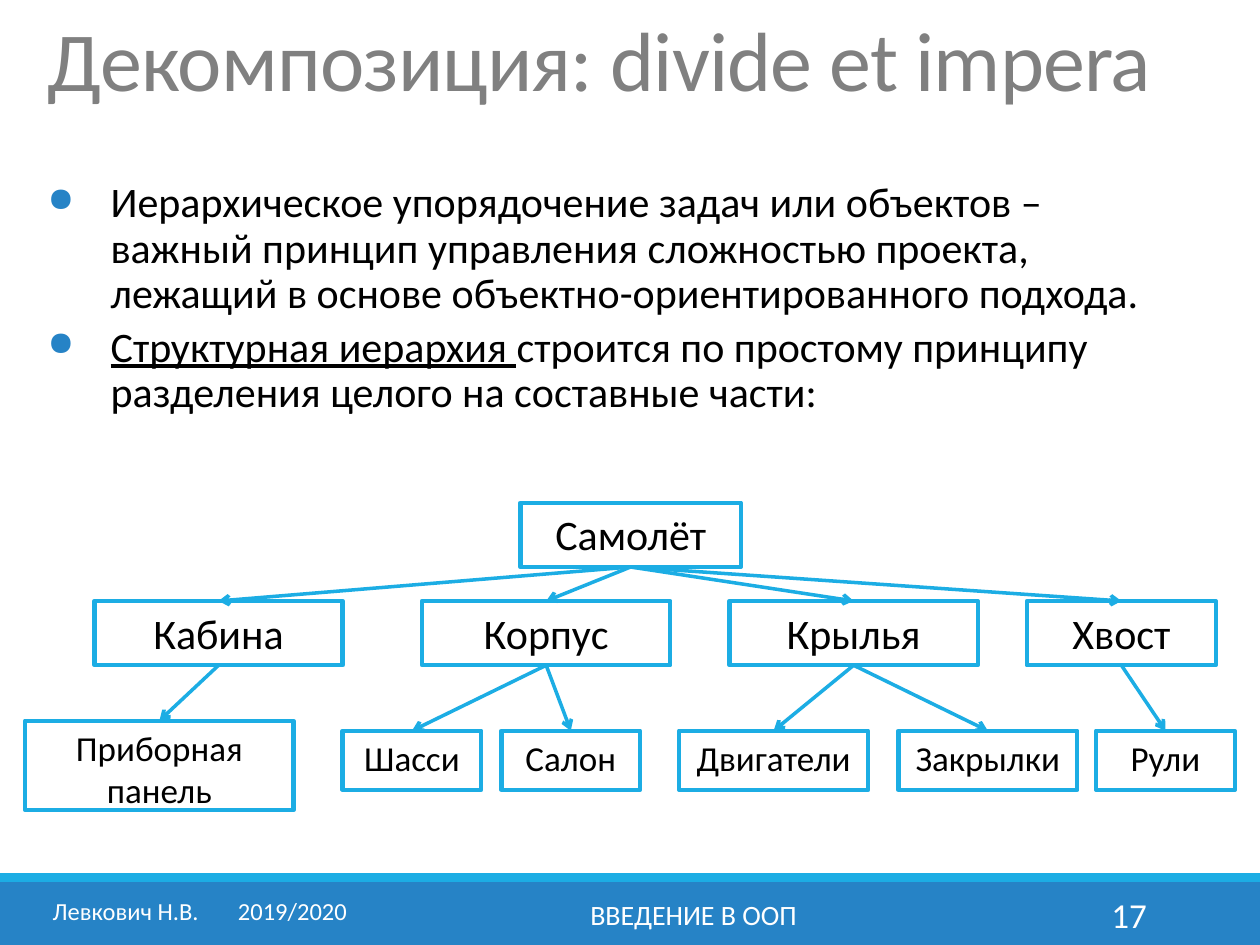
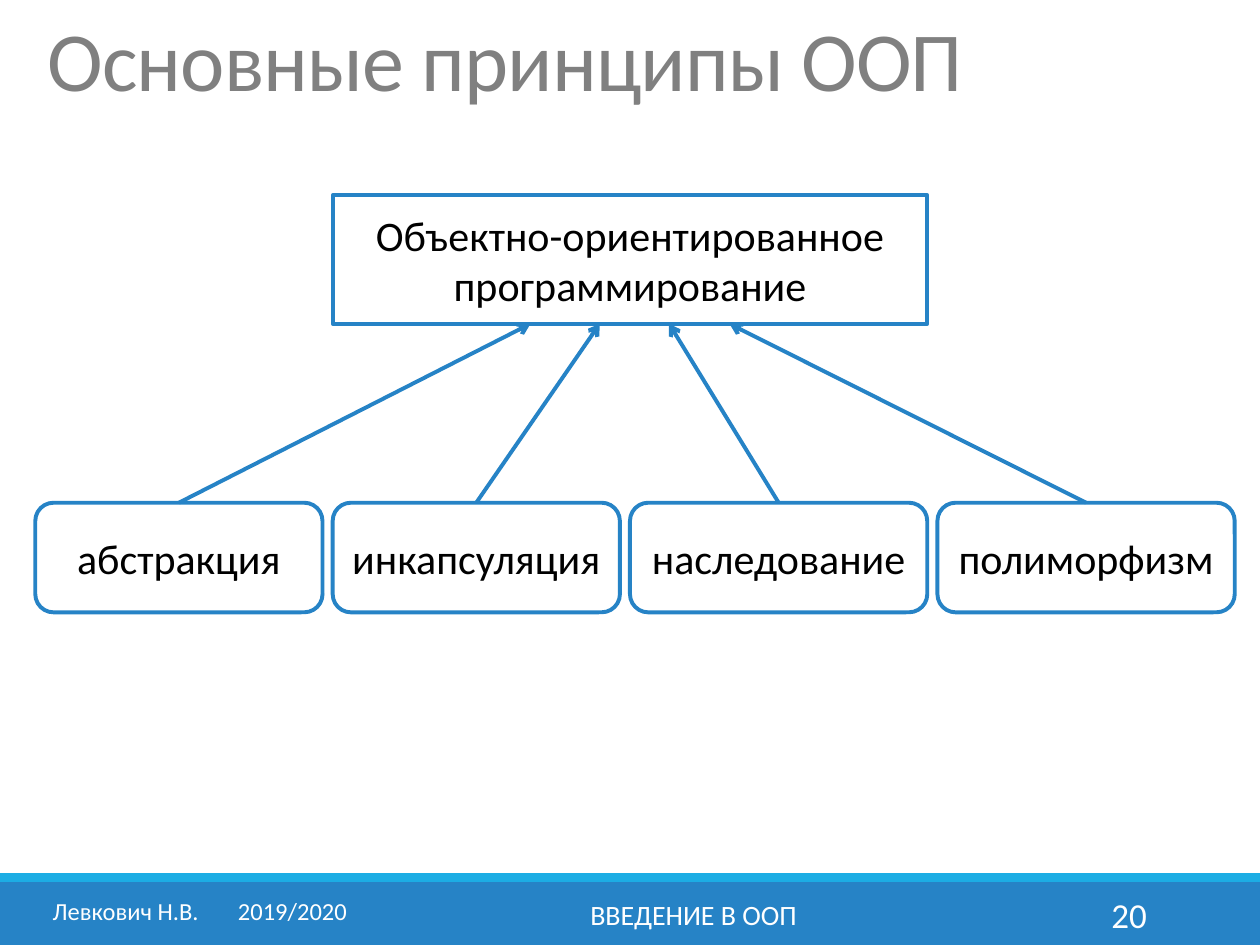
from lxml import etree
from pptx import Presentation
from pptx.dml.color import RGBColor
from pptx.enum.shapes import MSO_CONNECTOR, MSO_SHAPE
from pptx.enum.text import MSO_ANCHOR, PP_ALIGN
from pptx.oxml.ns import qn
from pptx.util import Inches, Pt

RECT, ROUND = MSO_SHAPE.RECTANGLE, MSO_SHAPE.ROUNDED_RECTANGLE
LINE = MSO_CONNECTOR.STRAIGHT
TOP, MID = MSO_ANCHOR.TOP, MSO_ANCHOR.MIDDLE
LEFT, CENTER, RIGHT = PP_ALIGN.LEFT, PP_ALIGN.CENTER, PP_ALIGN.RIGHT

COLS, ROWS = 100, 75
UNIT = Inches(0.1)
FONT = "Calibri"
HEX = {"blue": "2683C6", "sky": "1CADE4", "gray": "808080",
       "black": "000000", "white": "FFFFFF"}
TOP_SITE, LOW_SITE = 0, 2

# Each part: name, left, width, then its own parts as name, left, top, width, height
PLANE = [
    ("Кабина", 7.5, 19.7, [("Приборная панель", 2, 57.2, 21.3, 7.1)]),
    ("Корпус", 33.5, 19.7, [("Шасси", 27.2, 58, 11, 4.7),
                            ("Салон", 39.8, 58, 11, 4.7)]),
    ("Крылья", 57.9, 19.7, [("Двигатели", 53.9, 58, 15, 4.7),
                            ("Закрылки", 71.3, 58, 14.2, 4.7)]),
    ("Хвост", 81.5, 15, [("Рули", 87, 58, 11, 4.7)]),
]
# Each pillar: name, width, column where its arrow meets the root
PILLARS = [("абстракция", 22.8, 42.1), ("инкапсуляция", 22.8, 47.6),
           ("наследование", 23.6, 53.1), ("полиморфизм", 23.6, 57.9)]


def grid(*cells):
    """Turn grid columns and rows into lengths."""
    return [round(cell * UNIT) for cell in cells]


def color(name):
    return RGBColor.from_string(HEX[name])


def add(parent, tag, **attrs):
    return etree.SubElement(parent, qn(tag), attrs)


def write(para, text, size=24, ink="black", under=None, track=None):
    """Add one formatted run; track is letter spacing in points."""
    run = para.add_run()
    run.text = text
    font = run.font
    font.name, font.size, font.underline = FONT, Pt(size), under
    font.color.rgb = color(ink)
    if track:
        run._r.get_or_add_rPr().set("spc", str(round(track * 100)))


def fit(frame, anchor, align):
    frame.word_wrap = True
    frame.vertical_anchor = anchor
    para = frame.paragraphs[0]
    para.alignment = align
    return para


def label(slide, cells, text, anchor=TOP, align=LEFT, leading=None,
          tab=None, **style):
    box = slide.shapes.add_textbox(*grid(*cells))
    para = fit(box.text_frame, anchor, align)
    if leading:
        para.line_spacing = leading
    if tab:
        tabs = add(para._p.get_or_add_pPr(), "a:tabLst")
        add(tabs, "a:tab", pos=str(grid(tab)[0]), algn="l")
    write(para, text, **style)


def block(slide, cells, kind=RECT, fill=None, edge=None, weight=2.5,
          text=None, anchor=TOP, size=24):
    shape = slide.shapes.add_shape(kind, *grid(*cells))
    shape.shadow.inherit = False
    if fill:
        shape.fill.solid()
        shape.fill.fore_color.rgb = color(fill)
    else:
        shape.fill.background()
    if edge:
        shape.line.color.rgb = color(edge)
        shape.line.width = Pt(weight)
    else:
        shape.line.fill.background()
    if text:
        write(fit(shape.text_frame, anchor, CENTER), text, size)
    return shape


def arrow(slide, ends=(0, 0, 0, 0), ink="sky", weight=2):
    link = slide.shapes.add_connector(LINE, *grid(*ends))
    link.line.color.rgb = color(ink)
    link.line.width = Pt(weight)
    add(link.line._get_or_add_ln(), "a:tailEnd", type="arrow")
    add(link._element.spPr, "a:effectLst")
    return link


def join(slide, upper, lower):
    """Draw an arrow glued from the foot of one block to the top of another."""
    link = arrow(slide)
    link.begin_connect(upper, LOW_SITE)
    link.end_connect(lower, TOP_SITE)


def bullets(slide, cells, items):
    """Each item is a list of (text, underlined) pieces."""
    frame = slide.shapes.add_textbox(*grid(*cells)).text_frame
    frame.word_wrap = True
    for i, item in enumerate(items):
        para = frame.add_paragraph() if i else frame.paragraphs[0]
        para.line_spacing = 0.9
        if i:
            para.space_before = Pt(4.8)
        props = para._p.get_or_add_pPr()
        indent = grid(5)[0]
        props.set("marL", str(indent))
        props.set("indent", str(-indent))
        add(add(props, "a:buClr"), "a:srgbClr", val=HEX["blue"])
        add(props, "a:buSzPct", val="80000")
        add(props, "a:buChar", char="●")
        for text, under in item:
            write(para, text, under=under)


def page(deck, title, number):
    """Start a slide with its title, bands and footer."""
    slide = deck.slides.add_slide(deck.slide_layouts[6])
    block(slide, (0, 70, COLS, 5), fill="blue")
    block(slide, (0, 69.3, COLS, 0.7), fill="sky")
    label(slide, (2.8, 1.3, 94.5, 15.9), title, leading=0.85,
          size=48, ink="gray", track=-0.5)
    foot, tall = 70.6, 4
    label(slide, (3.2, foot, 26.1, tall), "Левкович Н.В.\t2019/2020",
          tab=14.7, size=14, ink="white")
    label(slide, (30.2, foot, 49.7, tall), "ВВЕДЕНИЕ В ООП", anchor=MID,
          align=CENTER, size=16, ink="white")
    label(slide, (81.2, foot, 10.8, tall), str(number), anchor=MID,
          align=RIGHT, size=20, ink="white")
    return slide


def tree(slide):
    root = block(slide, (41.3, 39.9, 17.5, 5.1), edge="sky", text="Самолёт")
    for name, left, wide, leaves in PLANE:
        part = block(slide, (left, 47.7, wide, 5.1), edge="sky", text=name)
        join(slide, root, part)
        for leaf, *cells in leaves:
            join(slide, part,
                 block(slide, cells, edge="sky", text=leaf, size=20))


def pillars(slide):
    look = dict(fill="white", edge="blue", weight=2.25, anchor=MID)
    block(slide, (26.4, 15.5, 47.2, 10.2),
          text="Объектно-ориентированное программирование", **look)
    left, top, gap = 2.8, 39.9, 0.8
    for name, wide, goal in PILLARS:
        block(slide, (left, top, wide, 8.7), ROUND, text=name, **look)
        arrow(slide, (left + wide / 2, top, goal, 25.7), "blue", 2.25)
        left += wide + gap


def main():
    deck = Presentation()
    deck.slide_width, deck.slide_height = grid(COLS, ROWS)

    slide = page(deck, "Декомпозиция: divide et impera", 17)
    bullets(slide, (2.8, 13.9, 91, 46.5), [
        [("Иерархическое упорядочение задач или объектов – важный принцип "
          "управления сложностью проекта, лежащий в основе "
          "объектно-ориентированного подхода.", None)],
        [("Структурная иерархия ", True),
         ("строится по простому принципу разделения целого на "
          "составные части:", None)],
    ])
    tree(slide)

    pillars(page(deck, "Основные принципы ООП", 20))
    deck.save("out.pptx")


if __name__ == "__main__":
    main()
